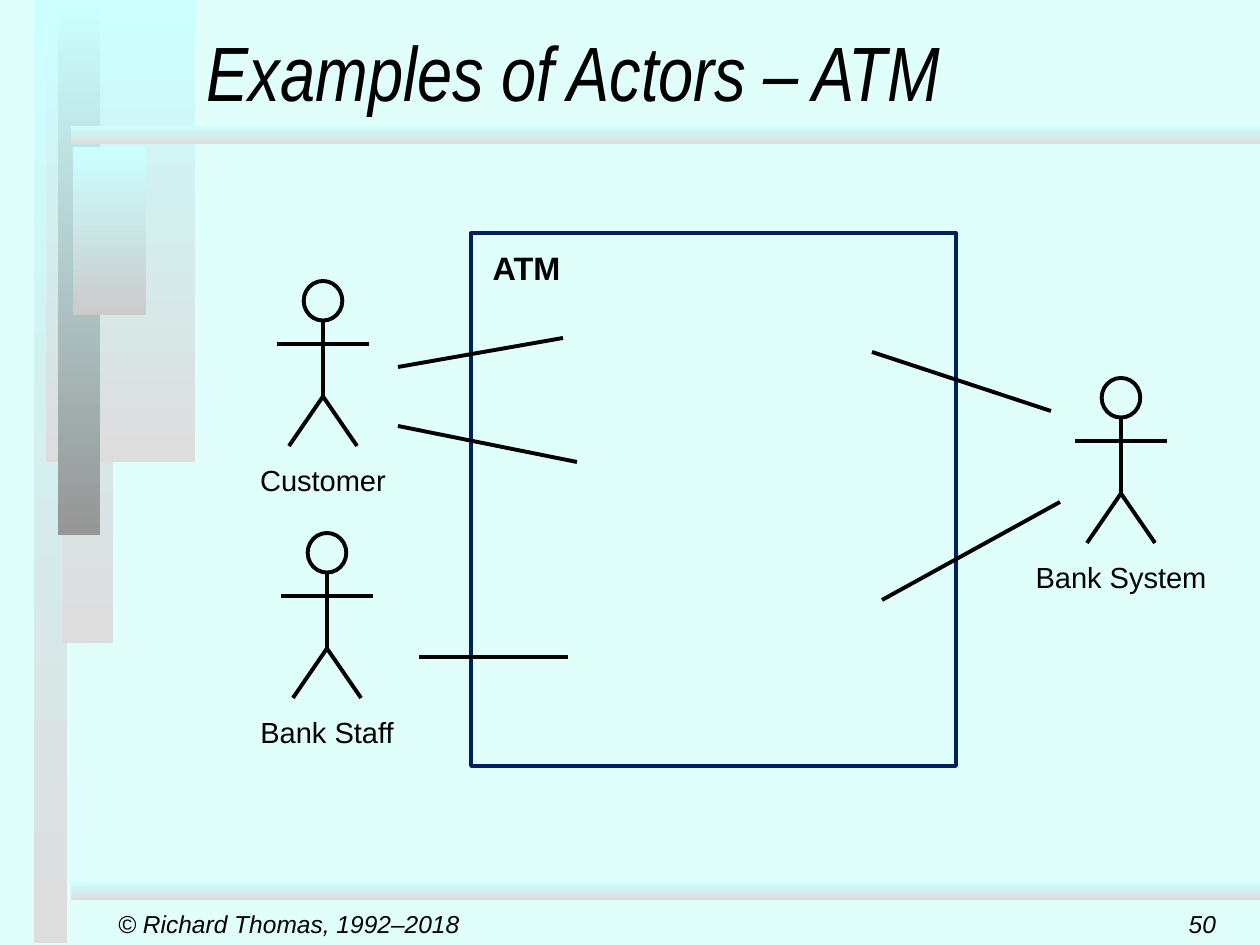
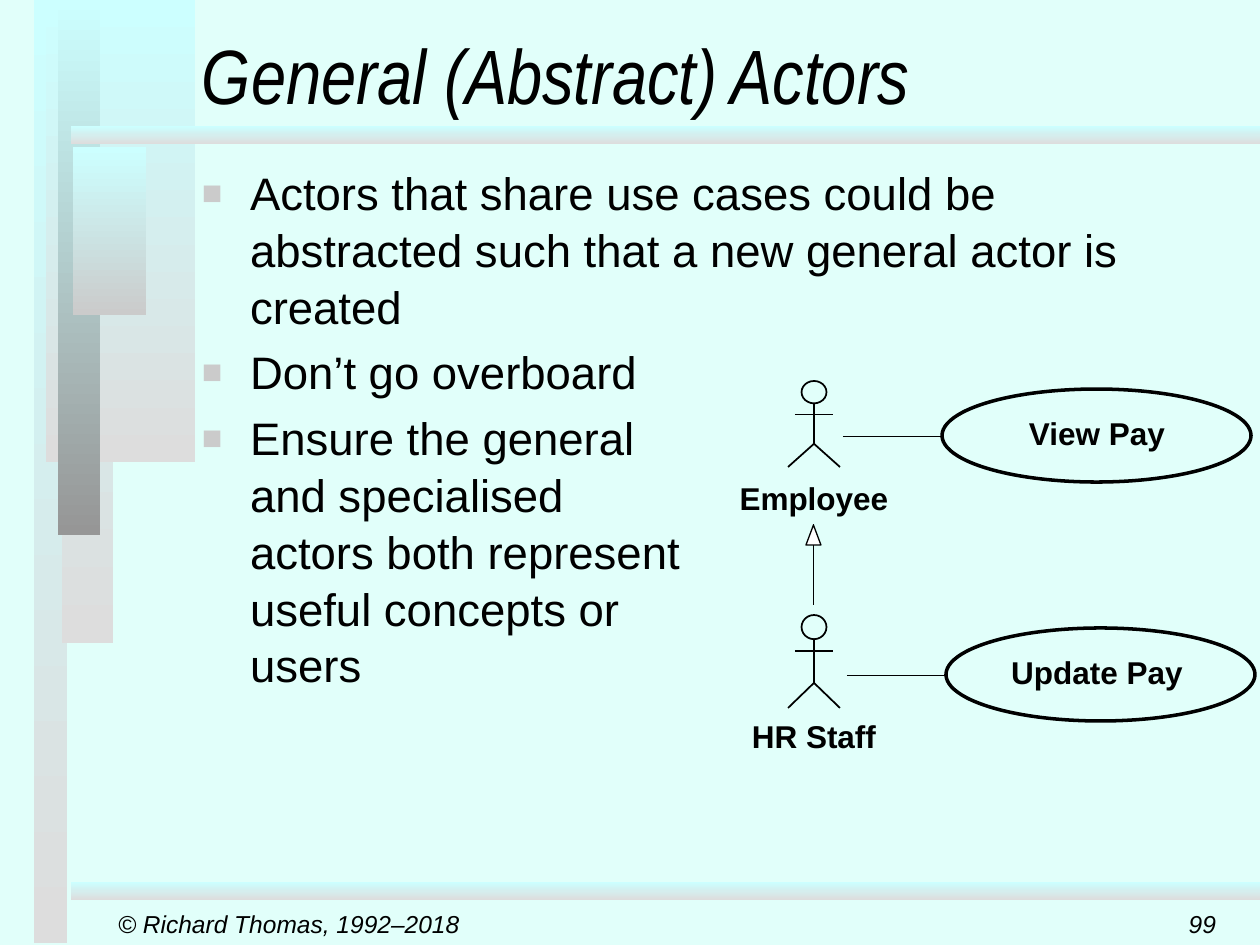
from dataclasses import dataclass

from lxml.etree import SubElement
from pptx import Presentation
from pptx.dml.color import RGBColor
from pptx.enum.shapes import MSO_CONNECTOR, MSO_SHAPE as SHAPE
from pptx.enum.text import MSO_ANCHOR as ANCHOR, PP_ALIGN as ALIGN
from pptx.oxml.ns import qn
from pptx.util import Emu, Pt

PX = 914400 / 126
WIDTH, HEIGHT = 1260, 945
COLORS = {
    "background": "E1FFFA", "ink": "000000", "system": "002060",
    "aqua": "CCFFFF", "light": "DDDDDD", "dark": "969696",
    "bullet": "CBCBCB", "arrowhead": "FFFFFF",
}
BODY_FONT, TITLE_FONT = "Arial", "Arial Narrow"

# Gradient bars from back to front: box and lower colour
BARS = [
    ((34, 0, 33, 943), "light"),
    ((62, 0, 51, 643), "light"),
    ((46, 0, 149, 462), "light"),
    ((58, 0, 42, 535), "dark"),
    ((73, 147, 73, 168), "bullet"),
    ((71, 126, 1189, 18), "light"),
    ((71, 882, 1189, 18), "light"),
]


@dataclass
class Figure:
    """Stick figure proportions: heights, then widths, as shares of its box."""
    neck: float
    arms: float
    hip: float
    head_width: float
    arm_span: float
    leg_span: float
    weight: float


BOLD_FIGURE = Figure(0.24, 0.38, 0.7, 0.42, 1, 0.74, 2.25)
FINE_FIGURE = Figure(0.26, 0.39, 0.73, 0.48, 0.73, 1, 1)


def px(length):
    return Emu(round(length * PX))


def rgb(name):
    return RGBColor.from_string(COLORS[name])


def add_outline(slide, kind, box, weight, color="ink", fill=None):
    shape = slide.shapes.add_shape(kind, *map(px, box))
    shape.shadow.inherit = False
    if fill:
        shape.fill.solid()
        shape.fill.fore_color.rgb = rgb(fill)
    else:
        shape.fill.background()
    shape.line.color.rgb = rgb(color)
    shape.line.width = Pt(weight)


def add_line(slide, start, end, weight):
    line = slide.shapes.add_connector(MSO_CONNECTOR.STRAIGHT, *map(px, (*start, *end)))
    line.line.color.rgb = rgb("ink")
    line.line.width = Pt(weight)
    SubElement(line._element.spPr, qn("a:effectLst"))


def add_frame(slide, box, anchor, margins=(13, 6)):
    frame = slide.shapes.add_textbox(*map(px, box)).text_frame
    frame.word_wrap = True
    frame.vertical_anchor = anchor
    frame.margin_left = frame.margin_right = px(margins[0])
    frame.margin_top = frame.margin_bottom = px(margins[1])
    return frame


def add_run(paragraph, text, size, font=BODY_FONT, bold=False, italic=False):
    run = paragraph.add_run()
    run.text = text
    run.font.name, run.font.size = font, Pt(size)
    run.font.bold, run.font.italic = bold, italic
    run.font.color.rgb = rgb("ink")


def add_label(slide, box, text, size, bold=False):
    paragraph = add_frame(slide, box, ANCHOR.MIDDLE, (0, 0)).paragraphs[0]
    paragraph.alignment = ALIGN.CENTER
    add_run(paragraph, text, size, bold=bold)


def add_backdrop(slide):
    slide.background.fill.solid()
    slide.background.fill.fore_color.rgb = rgb("background")
    for box, lower in BARS:
        bar = slide.shapes.add_shape(SHAPE.RECTANGLE, *map(px, box))
        bar.shadow.inherit = False
        bar.line.fill.background()
        bar.fill.gradient()
        bar.fill.gradient_angle = 270
        for stop, color, position in zip(bar.fill.gradient_stops, ("aqua", lower), (0, 1)):
            stop.color.rgb = rgb(color)
            stop.position = position


def add_footer(slide, number):
    for box, text, align in [
        ((105, 903, 400, 42), "© Richard Thomas, 1992–2018", ALIGN.LEFT),
        ((1129, 903, 100, 42), number, ALIGN.RIGHT),
    ]:
        paragraph = add_frame(slide, box, ANCHOR.MIDDLE).paragraphs[0]
        paragraph.alignment = align
        add_run(paragraph, text, 14, italic=True)


def start_slide(deck, title, title_box, number):
    slide = deck.slides.add_slide(deck.slide_layouts[6])
    add_backdrop(slide)
    heading = add_frame(slide, title_box, ANCHOR.BOTTOM).paragraphs[0]
    add_run(heading, title, 44, TITLE_FONT, italic=True)
    add_footer(slide, number)
    return slide


def add_actor(slide, box, figure):
    left, top, width, height = box
    middle, feet = left + width / 2, top + height
    neck, arms, hip = (top + height * share for share in (figure.neck, figure.arms, figure.hip))
    head, reach, stride = width * figure.head_width, width * figure.arm_span / 2, width * figure.leg_span / 2
    add_outline(slide, SHAPE.OVAL, (middle - head / 2, top, head, neck - top), figure.weight)
    for start, end in [
        ((middle, neck), (middle, hip)),
        ((middle, hip), (middle - stride, feet)),
        ((middle, hip), (middle + stride, feet)),
        ((middle - reach, arms), (middle + reach, arms)),
    ]:
        add_line(slide, start, end, figure.weight)


def add_bullets(slide, box, points):
    frame = add_frame(slide, box, ANCHOR.TOP)
    for index, point in enumerate(points):
        paragraph = frame.add_paragraph() if index else frame.paragraphs[0]
        props = paragraph._p.get_or_add_pPr()
        props.set("marL", str(px(48)))
        props.set("indent", str(-px(48)))
        SubElement(SubElement(props, qn("a:buClr")), qn("a:srgbClr"), val=COLORS["bullet"])
        SubElement(props, qn("a:buSzPct"), val="75000")
        SubElement(props, qn("a:buFont"), typeface=BODY_FONT)
        SubElement(props, qn("a:buChar"), char="■")
        paragraph.line_spacing = 1.04
        if index:
            paragraph.space_before = Pt(5.2)
        for row, text in enumerate(point.split("\n")):
            if row:
                paragraph.add_line_break()
            add_run(paragraph, text, 26)


def add_generalisation(slide, box):
    left, top, width, height = box
    middle = left + width / 2
    add_line(slide, (middle, top + height), (middle, top), 0.75)
    add_outline(slide, SHAPE.ISOSCELES_TRIANGLE, (left, top + 1, width, 20), 0.75, fill="arrowhead")


def add_use_case(slide, box, text, text_middle):
    left, top, width, height = box
    add_line(slide, (left - 99, top + height / 2 + 1), (left, top + height / 2 + 1), 1)
    add_outline(slide, SHAPE.OVAL, box, 2)
    add_label(slide, (text_middle - 100, top + 19, 200, 50), text, 18, bold=True)


def build_atm_slide(deck):
    slide = start_slide(deck, "Examples of Actors – ATM", (194, 0, 1023, 123), "50")
    # Actors with their names
    for left, top, name, name_middle in [
        (277, 281, "Customer", 323),
        (281, 533, "Bank Staff", 327),
        (1075, 378, "Bank System", 1121),
    ]:
        add_actor(slide, (left, top, 92, 165), BOLD_FIGURE)
        add_label(slide, (name_middle - 100, top + 175, 200, 48), name, 16.6)
    # System boundary
    add_outline(slide, SHAPE.RECTANGLE, (471, 233, 485, 533), 2.25, "system")
    add_label(slide, (480, 242, 93, 52), "ATM", 18.5, bold=True)
    # Links between the actors and the system
    for start, end in [
        ((398, 367), (563, 338)),
        ((398, 426), (577, 462)),
        ((419, 657), (568, 657)),
        ((1051, 411), (872, 352)),
        ((1060, 502), (882, 600)),
    ]:
        add_line(slide, start, end, 2.25)


def build_abstract_slide(deck):
    slide = start_slide(deck, "General (Abstract) Actors", (189, 0, 1071, 126), "99")
    add_bullets(slide, (189, 157, 1028, 665), [
        "Actors that share use cases could be abstracted such that a new general actor is created",
        "Don’t go overboard",
        "Ensure the general\nand specialised\nactors both represent\nuseful concepts or\nusers",
    ])
    # General actor above, specialised actor below
    for top, height, name, name_top in [(381, 86, "Employee", 473), (615, 93, "HR Staff", 711)]:
        add_actor(slide, (788, top, 52, height), FINE_FIGURE)
        add_label(slide, (714, name_top, 200, 50), name, 18, bold=True)
    add_generalisation(slide, (806, 524, 15, 81))
    add_use_case(slide, (942, 389, 309, 93), "View Pay", 1097)
    add_use_case(slide, (946, 628, 309, 93), "Update Pay", 1097)


def main():
    deck = Presentation()
    deck.slide_width, deck.slide_height = px(WIDTH), px(HEIGHT)
    build_atm_slide(deck)
    build_abstract_slide(deck)
    deck.save("out.pptx")


if __name__ == "__main__":
    main()
